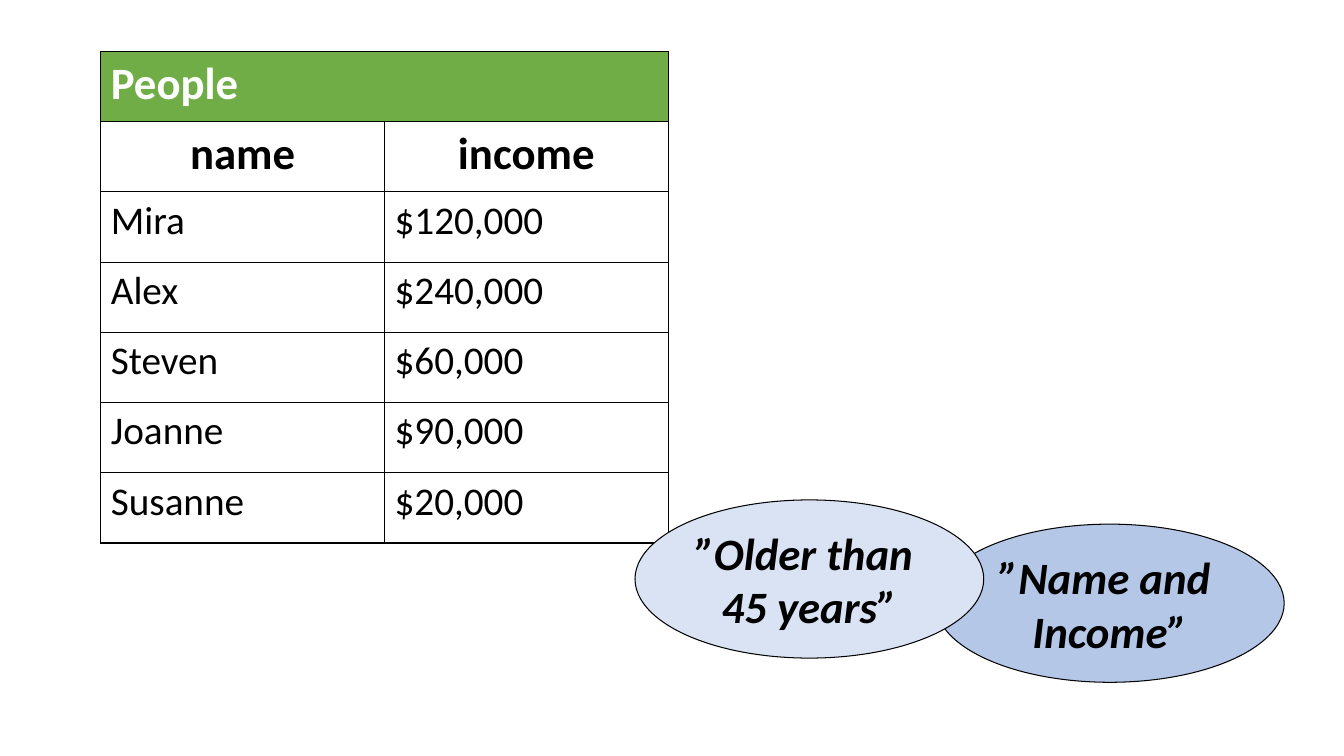
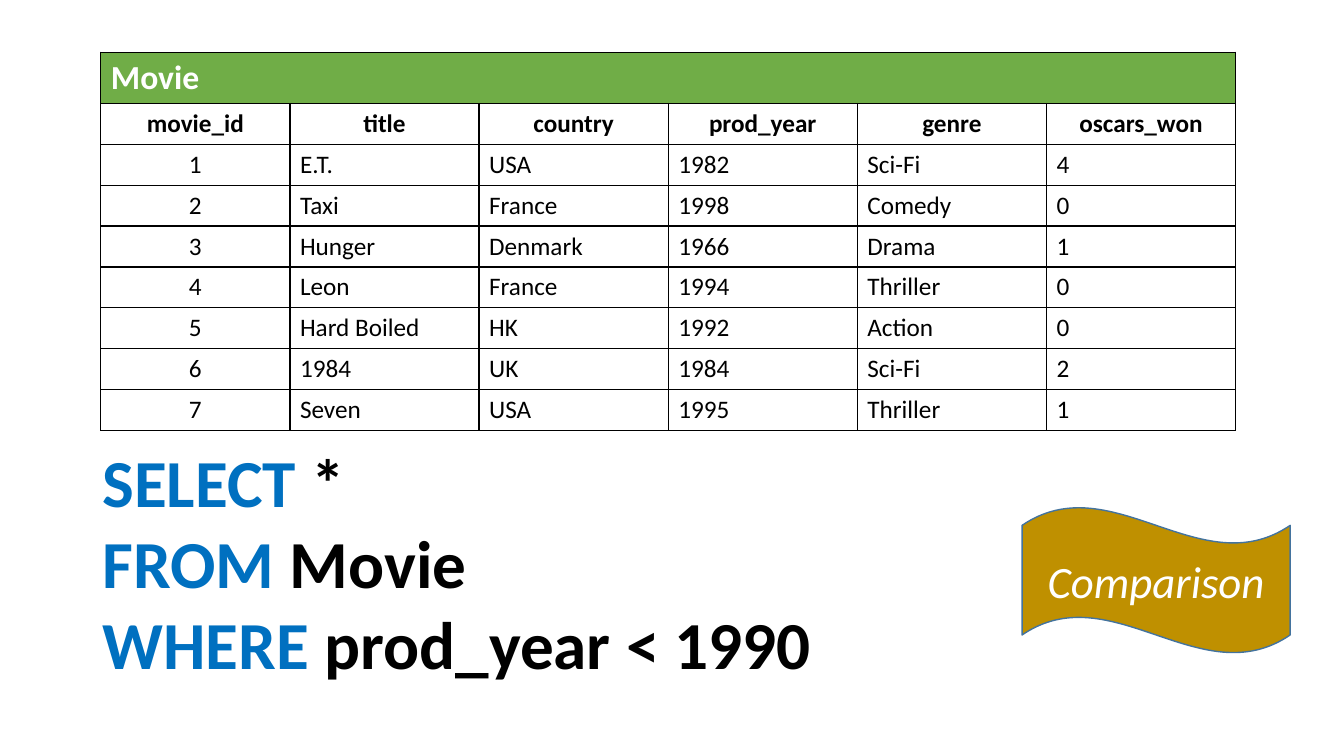
from lxml import etree
from pptx import Presentation
from pptx.dml.color import RGBColor
from pptx.enum.shapes import MSO_SHAPE
from pptx.enum.text import MSO_ANCHOR, PP_ALIGN
from pptx.oxml.ns import qn
from pptx.util import Pt

ELLIPSE, WAVE = MSO_SHAPE.OVAL, MSO_SHAPE.WAVE
CENTER, LEFT = PP_ALIGN.CENTER, PP_ALIGN.LEFT
MIDDLE = MSO_ANCHOR.MIDDLE

FONT = "Calibri"
COLORS = {
    "black": "000000",
    "white": "FFFFFF",
    "header": "70AD47",
    "keyword": "0070C0",
    "light_blue": "DAE3F3",
    "mid_blue": "B4C7E7",
    "gold": "BF9000",
    "wave_line": "43739E",
}

PEOPLE = [
    ("name", "income"),
    ("Mira", "$120,000"),
    ("Alex", "$240,000"),
    ("Steven", "$60,000"),
    ("Joanne", "$90,000"),
    ("Susanne", "$20,000"),
]
MOVIES = [
    ("movie_id", "title", "country", "prod_year", "genre", "oscars_won"),
    ("1", "E.T.", "USA", "1982", "Sci-Fi", "4"),
    ("2", "Taxi", "France", "1998", "Comedy", "0"),
    ("3", "Hunger", "Denmark", "1966", "Drama", "1"),
    ("4", "Leon", "France", "1994", "Thriller", "0"),
    ("5", "Hard Boiled", "HK", "1992", "Action", "0"),
    ("6", "1984", "UK", "1984", "Sci-Fi", "2"),
    ("7", "Seven", "USA", "1995", "Thriller", "1"),
]
QUERY = [("SELECT", " *"), ("FROM", " Movie"), ("WHERE", " prod_year < 1990")]


def rgb(name):
    return RGBColor.from_string(COLORS[name])


def style(paragraph, size, color="black", bold=False, italic=False, align=LEFT):
    paragraph.alignment = align
    font = paragraph.font
    font.name, font.size = FONT, Pt(size)
    font.bold, font.italic = bold, italic
    font.color.rgb = rgb(color)


def add_borders(cell):
    properties = cell._tc.get_or_add_tcPr()
    for side in ("lnL", "lnR", "lnT", "lnB"):
        line = etree.SubElement(properties, qn(f"a:{side}"), w=str(Pt(1)))
        fill = etree.SubElement(line, qn("a:solidFill"))
        etree.SubElement(fill, qn("a:srgbClr"), val=COLORS["black"])


def add_relation(slide, box, name, rows, sizes, name_height, row_height,
                 center_first=False):
    """Database table: a name bar, the column names, then the records."""
    left, top, width = box
    name_size, column_size, record_size = sizes
    columns = len(rows[0])
    height = name_height + row_height * len(rows)
    table = slide.shapes.add_table(len(rows) + 1, columns, Pt(left), Pt(top),
                                   Pt(width), Pt(height)).table
    table.first_row = table.horz_banding = False
    for column in table.columns:
        column.width = Pt(width / columns)
    for index, row in enumerate(table.rows):
        row.height = Pt(row_height if index else name_height)
    for cell in table.iter_cells():
        add_borders(cell)
        cell.fill.background()

    # Name bar
    bar = table.cell(0, 0)
    bar.merge(table.cell(0, columns - 1))
    bar.fill.solid()
    bar.fill.fore_color.rgb = rgb("header")
    bar.text = name
    style(bar.text_frame.paragraphs[0], name_size, "white", bold=True)

    # Column names and records
    for r, record in enumerate(rows):
        is_heading = r == 0
        for c, value in enumerate(record):
            cell = table.cell(r + 1, c)
            cell.text = value
            centered = is_heading or (center_first and c == 0)
            style(cell.text_frame.paragraphs[0],
                  column_size if is_heading else record_size,
                  bold=is_heading, align=CENTER if centered else LEFT)


def add_label(slide, kind, box, lines, fill, line, line_width, color="black",
              bold=False, wrap=False):
    """Filled shape with centred italic text."""
    label = slide.shapes.add_shape(kind, *map(Pt, box))
    label.shadow.inherit = False
    label.fill.solid()
    label.fill.fore_color.rgb = rgb(fill)
    label.line.color.rgb = rgb(line)
    label.line.width = Pt(line_width)
    frame = label.text_frame
    frame.word_wrap = wrap
    frame.vertical_anchor = MIDDLE
    frame.text = "\n".join(lines)
    for paragraph in frame.paragraphs:
        style(paragraph, 32, color, bold, italic=True, align=CENTER)


def add_query(slide, box, clauses):
    """SQL query, one clause a line, with coloured keywords."""
    frame = slide.shapes.add_textbox(*map(Pt, box)).text_frame
    frame.word_wrap = True
    for index, (keyword, rest) in enumerate(clauses):
        paragraph = frame.add_paragraph() if index else frame.paragraphs[0]
        paragraph.line_spacing = 0.9
        if index:
            paragraph.space_before = Pt(6)
        style(paragraph, 48, bold=True)
        keyword_run = paragraph.add_run()
        keyword_run.text = keyword
        keyword_run.font.color.rgb = rgb("keyword")
        paragraph.add_run().text = rest


def build_people(slide):
    add_relation(slide, (72, 36.7, 405.4), "People", PEOPLE, (32, 32, 28),
                 50.2, 50.2)
    bubbles = [
        ((668.2, 374.4), ("”Name and ", "Income”"), "mid_blue"),
        ((453.6, 357.1), ("”Older than ", "45 years”"), "light_blue"),
    ]
    for corner, lines, fill in bubbles:
        add_label(slide, ELLIPSE, (*corner, 249.1, 113), lines, fill,
                  "black", 0.75, bold=True)


def build_movies(slide):
    add_query(slide, (66.2, 317.5, 828, 209.5), QUERY)
    add_relation(slide, (72, 37.4, 810.7), "Movie", MOVIES, (24, 18, 18),
                 36.5, 29.2, center_first=True)
    add_label(slide, WAVE, (730.1, 362.2, 191.5, 104.4), ["Comparison"],
              "gold", "wave_line", 1, color="white", wrap=True)


def main():
    deck = Presentation()
    deck.slide_width, deck.slide_height = Pt(960), Pt(540)
    for build in (build_people, build_movies):
        build(deck.slides.add_slide(deck.slide_layouts[6]))
    deck.save("out.pptx")


if __name__ == "__main__":
    main()
